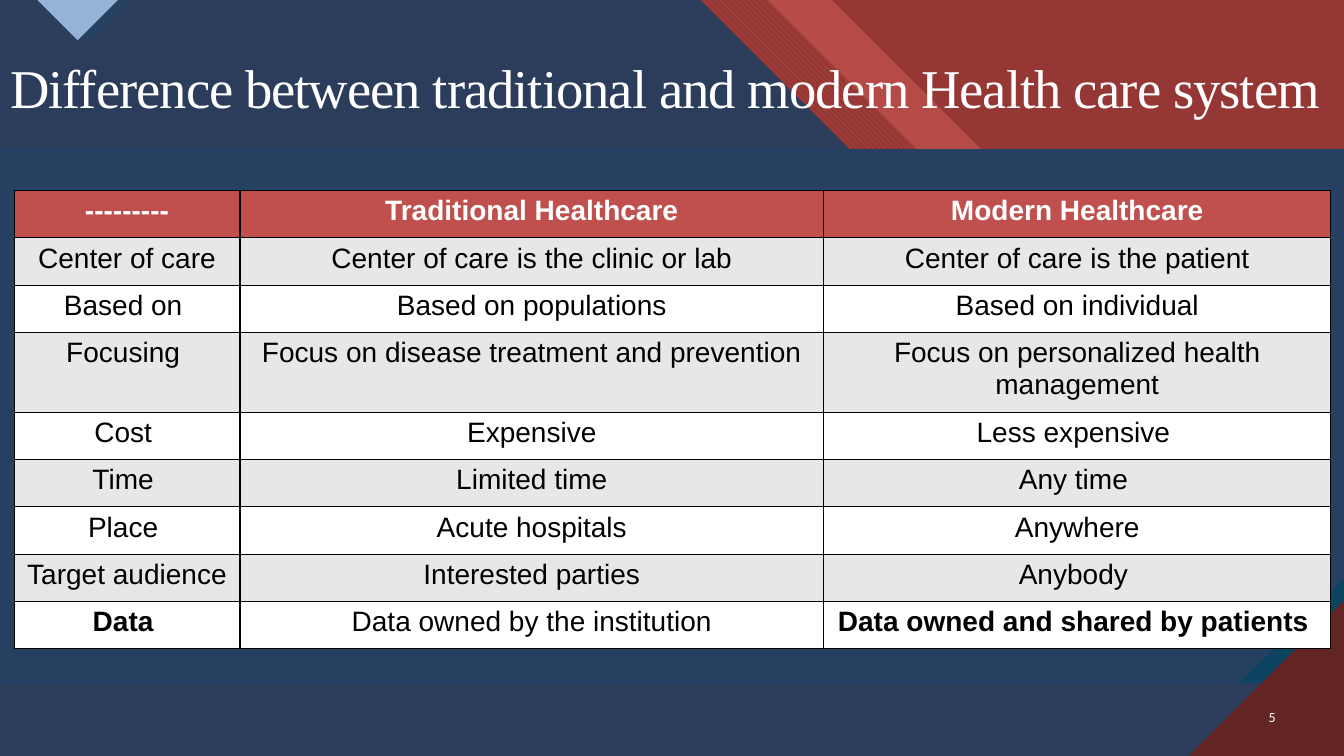
"""Build the slide comparing traditional and modern health care systems."""
from dataclasses import dataclass

from lxml import etree
from pptx import Presentation
from pptx.dml.color import RGBColor
from pptx.enum.dml import MSO_PATTERN
from pptx.enum.text import MSO_ANCHOR, MSO_AUTO_SIZE, PP_ALIGN
from pptx.oxml.ns import qn
from pptx.util import Inches, Pt

LEFT, CENTER, RIGHT = PP_ALIGN.LEFT, PP_ALIGN.CENTER, PP_ALIGN.RIGHT
MIDDLE = MSO_ANCHOR.MIDDLE
NO_AUTOFIT = MSO_AUTO_SIZE.NONE
DIAGONAL_STRIPES = MSO_PATTERN.WIDE_DOWNWARD_DIAGONAL

WHITE = RGBColor(0xFF, 0xFF, 0xFF)
BLACK = RGBColor(0, 0, 0)
GREY = RGBColor(0xE7, 0xE7, 0xE7)
RED = RGBColor(0xC0, 0x50, 0x4D)
BRIGHT_RED = RGBColor(0xB5, 0x4A, 0x47)
DARK_RED = RGBColor(0x95, 0x37, 0x35)
MAROON = RGBColor(0x63, 0x25, 0x23)
NAVY = RGBColor(0x2C, 0x3D, 0x5C)
BLUE = RGBColor(0x25, 0x40, 0x61)
TEAL = RGBColor(0x0C, 0x43, 0x60)
LIGHT_BLUE = RGBColor(0x95, 0xB3, 0xD7)

WIDTH, HEIGHT = 13.33, 7.5
BAND_TOP, BAND_BOTTOM, SNIP = 1.48, 6.78, 1.04
COLUMN_WIDTHS = (2.24, 5.79, 5.03)
ROW_HEIGHT, TALL_ROW_HEIGHT, TALL_ROW = 0.47, 0.79, 3
COMPARISON = (
    ("---------", "Traditional Healthcare", "Modern Healthcare"),
    ("Center of care", "Center of care is the clinic or lab", "Center of care is the patient"),
    ("Based on ", "Based on populations", "Based on individual"),
    ("Focusing ", "Focus on disease treatment and prevention",
     "Focus on personalized health management"),
    ("Cost ", "Expensive", "Less expensive "),
    ("Time ", "Limited time", "Any time "),
    ("Place ", "Acute hospitals", "Anywhere"),
    ("Target audience ", "Interested parties", "Anybody "),
    ("Data ", "Data owned by the institution", "Data owned and shared by patients "),
)
BOLD_CELLS = {(8, 0), (8, 2)}


@dataclass(frozen=True)
class Panel:
    """A filled polygon of the backdrop, striped if it has a second colour."""

    points: tuple[tuple[float, float], ...]
    color: RGBColor
    stripe_back: RGBColor | None = None


def slanted(start: float, end: float) -> tuple[tuple[float, float], ...]:
    """Return a 45 degree strip across the header."""
    return ((start, 0), (end, 0), (end + BAND_TOP, BAND_TOP), (start + BAND_TOP, BAND_TOP))


BACKDROP = (
    Panel(((0, 0), (6.95, 0), (6.95 + BAND_TOP, BAND_TOP), (WIDTH, BAND_TOP),
           (WIDTH, HEIGHT), (0, HEIGHT)), NAVY),
    Panel(slanted(6.95, 7.61), RED, DARK_RED),
    Panel(slanted(7.61, 8.25), BRIGHT_RED),
    Panel(((0.48, 0), (1.31, 0), (0.9, 0.41)), BLUE),
    Panel(((0.37, 0), (1.17, 0), (0.77, 0.4)), LIGHT_BLUE),
    Panel(((0, BAND_TOP), (WIDTH, BAND_TOP), (WIDTH, BAND_BOTTOM), (0, BAND_BOTTOM)), TEAL),
    Panel(((0, BAND_TOP), (WIDTH, BAND_TOP), (WIDTH, BAND_BOTTOM - SNIP),
           (WIDTH - SNIP, BAND_BOTTOM), (0, BAND_BOTTOM)), BLUE),
    Panel(((11.79, HEIGHT), (WIDTH, HEIGHT), (WIDTH, 5.96)), MAROON),
)


def draw_panel(slide, panel: Panel) -> None:
    """Draw one backdrop polygon."""
    corners = [(Inches(x), Inches(y)) for x, y in panel.points]
    builder = slide.shapes.build_freeform(*corners[0])
    builder.add_line_segments(corners[1:])
    polygon = builder.convert_to_shape()
    polygon.shadow.inherit = False
    polygon.line.fill.background()
    if panel.stripe_back is None:
        polygon.fill.solid()
        polygon.fill.fore_color.rgb = panel.color
    else:
        polygon.fill.patterned()
        polygon.fill.pattern = DIAGONAL_STRIPES
        polygon.fill.fore_color.rgb = panel.color
        polygon.fill.back_color.rgb = panel.stripe_back


def write(frame, text: str, *, size: float, font: str, color: RGBColor,
          align: PP_ALIGN, bold: bool = False, spacing: float = 0,
          line_spacing: float = 1.0) -> None:
    """Write one formatted paragraph into a text frame."""
    paragraph = frame.paragraphs[0]
    paragraph.alignment = align
    paragraph.line_spacing = line_spacing
    run = paragraph.add_run()
    run.text = text
    run.font.size, run.font.name, run.font.bold = Pt(size), font, bold
    run.font.color.rgb = color
    if spacing:
        run._r.get_or_add_rPr().set("spc", str(round(spacing * 100)))


def set_borders(cell) -> None:
    """Give a table cell thin black borders on all sides."""
    properties = cell._tc.get_or_add_tcPr()
    for position, side in enumerate(("a:lnL", "a:lnR", "a:lnT", "a:lnB")):
        border = etree.Element(qn(side), w=str(Pt(1)))
        fill = etree.SubElement(border, qn("a:solidFill"))
        etree.SubElement(fill, qn("a:srgbClr"), val=str(BLACK))
        properties.insert(position, border)


def add_title(slide) -> None:
    """Place and fill the title."""
    title = slide.shapes.title
    title.left, title.top = Inches(0), Inches(0.56)
    title.width, title.height = Inches(13.64), Inches(0.69)
    title.text_frame.auto_size = NO_AUTOFIT
    title.text_frame.vertical_anchor = MIDDLE
    write(title.text_frame, "Difference between traditional and modern Health care system",
          size=39, font="Times New Roman", color=WHITE, align=LEFT,
          spacing=-0.7, line_spacing=0.9)


def add_comparison(slide) -> None:
    """Add the comparison table."""
    heights = [TALL_ROW_HEIGHT if row == TALL_ROW else ROW_HEIGHT
               for row in range(len(COMPARISON))]
    table = slide.shapes.add_table(
        len(COMPARISON), len(COLUMN_WIDTHS), Inches(0.14), Inches(1.89),
        Inches(sum(COLUMN_WIDTHS)), Inches(sum(heights))).table
    for column, width in zip(table.columns, COLUMN_WIDTHS):
        column.width = Inches(width)
    for row, (texts, height) in enumerate(zip(COMPARISON, heights)):
        table.rows[row].height = Inches(height)
        is_header = row == 0
        for column, text in enumerate(texts):
            cell = table.cell(row, column)
            cell.fill.solid()
            cell.fill.fore_color.rgb = RED if is_header else GREY if row % 2 else WHITE
            set_borders(cell)
            write(cell.text_frame, text, size=20, font="Arial", align=CENTER,
                  color=WHITE if is_header else BLACK,
                  bold=is_header or (row, column) in BOLD_CELLS)


def add_page_number(slide) -> None:
    """Add the page number in the lower right corner."""
    page_number = slide.shapes.add_textbox(
        Inches(12.31), Inches(6.91), Inches(0.44), Inches(0.4)).text_frame
    page_number.word_wrap = True
    page_number.vertical_anchor = MIDDLE
    write(page_number, "5", size=10, font="Calibri", color=WHITE, align=RIGHT)


def main() -> None:
    """Build and save the presentation."""
    presentation = Presentation()
    presentation.slide_width, presentation.slide_height = Inches(WIDTH), Inches(HEIGHT)
    slide = presentation.slides.add_slide(presentation.slide_layouts[5])
    slide.background.fill.solid()
    slide.background.fill.fore_color.rgb = DARK_RED
    for panel in BACKDROP:
        draw_panel(slide, panel)
    title_element = slide.shapes.title._element
    title_element.getparent().append(title_element)
    add_title(slide)
    add_page_number(slide)
    add_comparison(slide)
    presentation.save("out.pptx")


if __name__ == "__main__":
    main()
